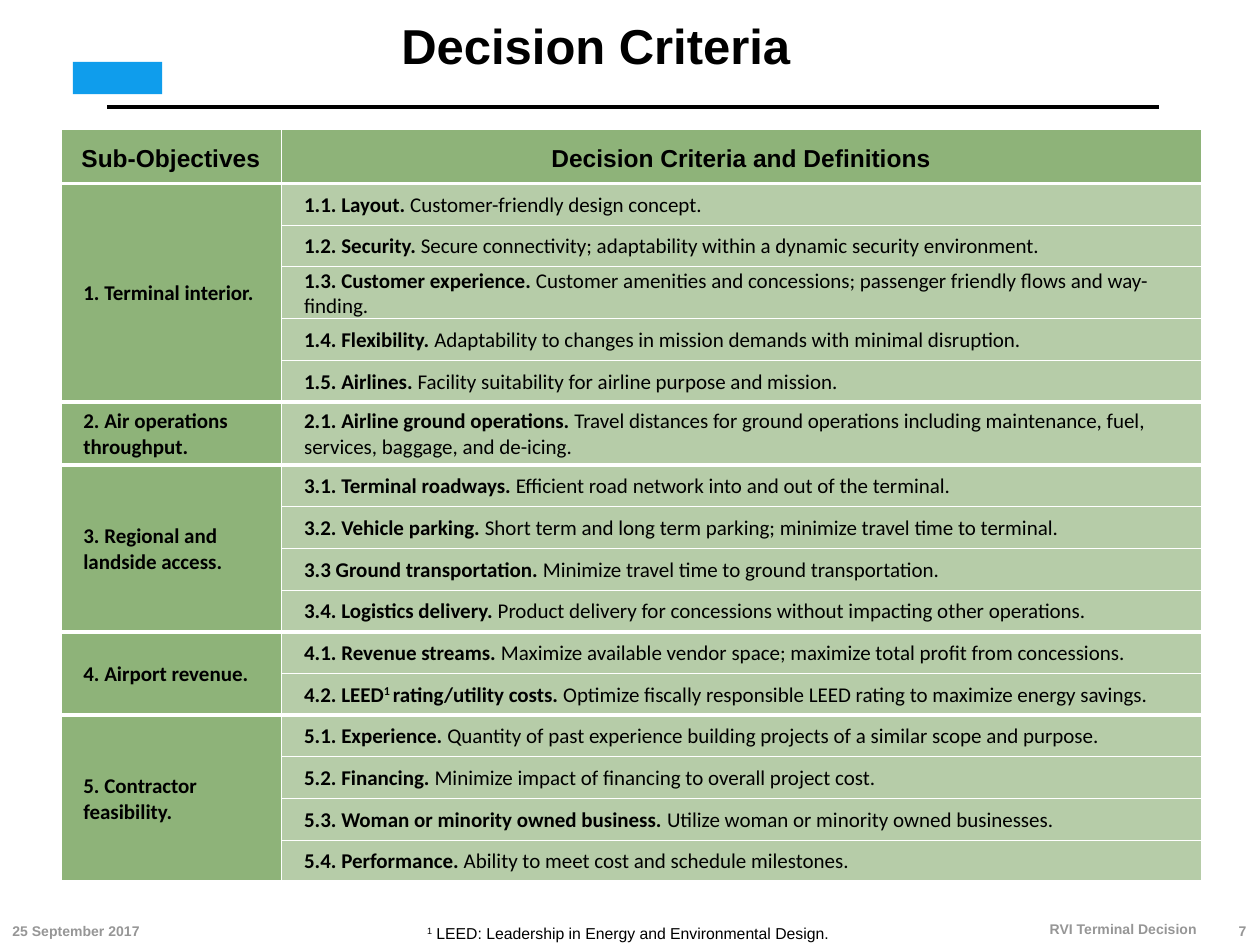
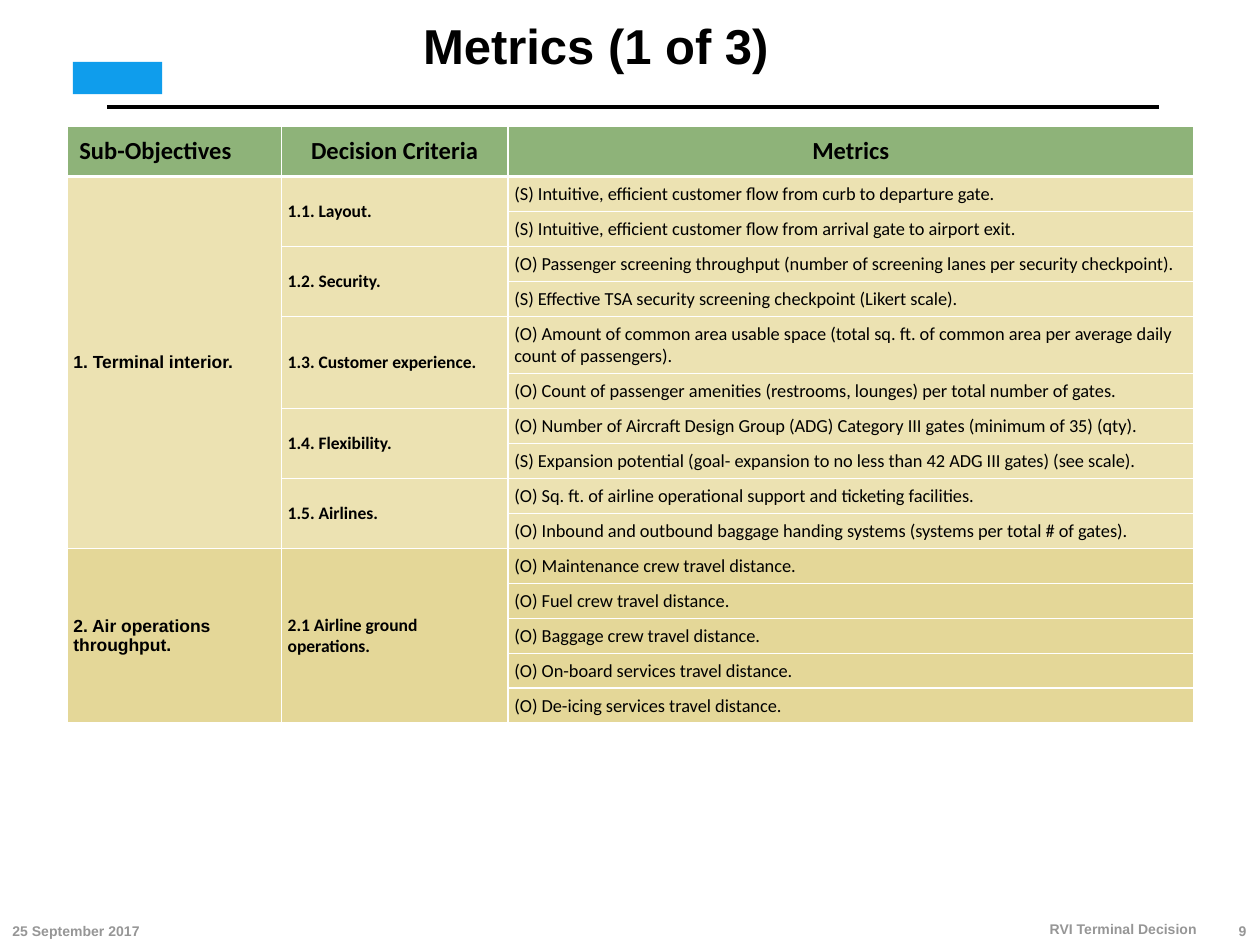
from dataclasses import dataclass
from typing import NamedTuple

from lxml.etree import SubElement
from pptx import Presentation
from pptx.dml.color import RGBColor
from pptx.enum.shapes import MSO_CONNECTOR as Link, MSO_SHAPE as Shape
from pptx.enum.text import MSO_ANCHOR as Anchor, PP_ALIGN as Align
from pptx.oxml.ns import qn
from pptx.util import Cm, Pt

BLACK = RGBColor(0x00, 0x00, 0x00)
WHITE = RGBColor(0xFF, 0xFF, 0xFF)
GREY = RGBColor(0x96, 0x96, 0x96)
BLUE = RGBColor(0x0F, 0x9D, 0xEC)
GREEN = RGBColor(0x8E, 0xB3, 0x79)
PALE = RGBColor(0xB6, 0xCC, 0xA8)
CREAM = RGBColor(0xEC, 0xE2, 0xB2)
SAND = RGBColor(0xE4, 0xD7, 0x98)
SANS = "Arial"
BODY = "Calibri"
HEAVY = 2.25


class Run(NamedTuple):
    text: str
    bold: bool = False
    high: bool = False


class Box(NamedTuple):
    left: float
    top: float
    width: float
    height: float


class Font(NamedTuple):
    name: str
    size: float
    color: RGBColor = BLACK


class Edge(NamedTuple):
    left: float
    top: float
    right: float
    bottom: float


class Group(NamedTuple):
    name: str
    items: list
    fill: RGBColor = GREEN


@dataclass(frozen=True)
class Look:
    font: Font
    pad: Edge
    align: Align = Align.LEFT
    indent: float = 0


TITLE = Font(SANS, 28)
FOOT = Font(SANS, 8, GREY)
NOTE = Font(SANS, 9)
PLAIN = Edge(0.25, 0.13, 0.25, 0.13)
EVEN = Edge(0.13, 0.13, 0.13, 0.13)
FLAT = Edge(0.13, 0.13, 0.13, 0)
TIGHT = Edge(0.13, 0.03, 0.03, 0)
BARE = Edge(0, 0, 0, 0)

HEAD = Look(Font(SANS, 14), FLAT, Align.CENTER)
ENTRY = Look(Font(BODY, 12), TIGHT, indent=0.33)
LEAD = Look(Font(BODY, 14), PLAIN)
TOP = Look(Font(BODY, 14), PLAIN, Align.CENTER)
GOAL = Look(Font(SANS, 10), EVEN)
TEST = Look(Font(BODY, 10), EVEN)
GAUGE = Look(Font(BODY, 10.5), EVEN)


def rule(head: str, text: str) -> list[Run]:
    return [Run(head + " ", True), Run(text)]


CRITERIA = [
    Group("1. Terminal interior.", [
        rule("1.1. Layout.", "Customer-friendly design concept."),
        rule("1.2. Security.", "Secure connectivity; adaptability within a dynamic security environment."),
        rule("1.3. Customer experience.",
             "Customer amenities and concessions; passenger friendly flows and way-finding."),
        rule("1.4. Flexibility.", "Adaptability to changes in mission demands with minimal disruption."),
        rule("1.5. Airlines.", "Facility suitability for airline purpose and mission."),
    ]),
    Group("2. Air operations throughput.", [
        rule("2.1. Airline ground operations.",
             "Travel distances for ground operations including maintenance, fuel, "
             "services, baggage, and de-icing."),
    ]),
    Group("3. Regional and landside access.", [
        rule("3.1. Terminal roadways.", "Efficient road network into and out of the terminal."),
        rule("3.2. Vehicle parking.", "Short term and long term parking; minimize travel time to terminal."),
        rule("3.3 Ground transportation.", "Minimize travel time to ground transportation."),
        rule("3.4. Logistics delivery.", "Product delivery for concessions without impacting other operations."),
    ]),
    Group("4. Airport revenue.", [
        rule("4.1. Revenue streams.", "Maximize available vendor space; maximize total profit from concessions."),
        [Run("4.2. LEED", True), Run("1 ", True, True)]
        + rule("rating/utility costs.", "Optimize fiscally responsible LEED rating to maximize energy savings."),
    ]),
    Group("5. Contractor feasibility.", [
        rule("5.1. Experience.", "Quantity of past experience building projects of a similar scope and purpose."),
        rule("5.2. Financing.", "Minimize impact of financing to overall project cost."),
        rule("5.3. Woman or minority owned business.", "Utilize woman or minority owned businesses."),
        rule("5.4. Performance.", "Ability to meet cost and schedule milestones."),
    ]),
]

METRICS = [
    Group("1. Terminal interior.", [
        ("1.1. Layout.", [
            "(S) Intuitive, efficient customer flow from curb to departure gate.",
            "(S) Intuitive, efficient customer flow from arrival gate to airport exit."]),
        ("1.2. Security.", [
            "(O) Passenger screening throughput (number of screening lanes per security checkpoint).",
            "(S) Effective TSA security screening checkpoint (Likert scale)."]),
        ("1.3. Customer experience.", [
            "(O) Amount of common area usable space (total sq. ft. of common area "
            "per average daily count of passengers).",
            "(O) Count of passenger amenities (restrooms, lounges) per total number of gates."]),
        ("1.4. Flexibility.", [
            "(O) Number of Aircraft Design Group (ADG) Category III gates (minimum of 35) (qty).",
            "(S) Expansion potential (goal- expansion to no less than 42 ADG III gates) (see scale)."]),
        ("1.5. Airlines.", [
            "(O) Sq. ft. of airline operational support and ticketing facilities.",
            "(O) Inbound and outbound baggage handing systems (systems per total # of gates)."]),
    ], CREAM),
    Group("2. Air operations throughput.", [
        ("2.1 Airline ground operations.", [
            f"(O) {crew} travel distance." for crew in (
                "Maintenance crew", "Fuel crew", "Baggage crew", "On-board services", "De-icing services")]),
    ], SAND),
]


def write(para, runs: list[Run], font: Font) -> None:
    for part in runs:
        run = para.add_run()
        run.text = part.text
        run.font.name = font.name
        run.font.size = Pt(font.size)
        run.font.bold = part.bold
        run.font.color.rgb = font.color
        if part.high:
            run.font._element.set("baseline", "30000")


def label(slide, box: Box, runs: list[Run], font: Font, align: Align = Align.LEFT,
          anchor: Anchor = Anchor.BOTTOM, pad: Edge = PLAIN, wrap: bool = False):
    frame = slide.shapes.add_textbox(*map(Cm, box)).text_frame
    frame.word_wrap = wrap
    frame.vertical_anchor = anchor
    frame.margin_left, frame.margin_top, frame.margin_right, frame.margin_bottom = map(Cm, pad)
    para = frame.paragraphs[0]
    para.alignment = align
    write(para, runs, font)
    return para


def base(deck, title: str, page: int):
    slide = deck.slides.add_slide(deck.slide_layouts[6])
    line = slide.shapes.add_connector(Link.STRAIGHT, Cm(2.16), Cm(2.16), Cm(23.37), Cm(2.16))
    line.line.color.rgb = BLACK
    line.line.width = Pt(2.5)
    SubElement(line._element.spPr, qn("a:effectLst"))
    mark = slide.shapes.add_shape(Shape.RECTANGLE, Cm(1.47), Cm(1.25), Cm(1.8), Cm(0.65))
    mark.shadow.inherit = False
    mark.fill.solid()
    mark.fill.fore_color.rgb = BLUE
    mark.line.fill.background()
    head = label(slide, Box(1.85, 0, 20.32, 1.98), [Run(title, True)], TITLE,
                 Align.CENTER, Anchor.MIDDLE, BARE, True)
    head.line_spacing = 0.9
    label(slide, Box(0, 18.42, 5.08, 0.64), [Run("25 September 2017", True)], FOOT)
    label(slide, Box(24.36, 18.42, 1.02, 0.64), [Run(str(page), True)], FOOT, Align.RIGHT)
    label(slide, Box(16.76, 18.39, 7.62, 0.64), [Run("RVI Terminal Decision", True)], FOOT, Align.RIGHT)
    return slide


def border(cell, edge: Edge) -> None:
    props = cell._tc.get_or_add_tcPr()
    for side, width in zip("LRTB", (edge.left, edge.right, edge.top, edge.bottom)):
        line = SubElement(props, qn(f"a:ln{side}"), w=str(Pt(width)))
        fill = SubElement(line, qn("a:solidFill"))
        SubElement(fill, qn("a:srgbClr"), val=str(WHITE))


def put(table, row: int, col: int, runs: list[Run], look: Look,
        fill: RGBColor, edge: Edge, span: int = 1) -> None:
    cell = table.cell(row, col)
    if span > 1:
        cell.merge(table.cell(row + span - 1, col))
    for step in range(span):
        part = table.cell(row + step, col)
        border(part, edge)
        part.fill.solid()
        part.fill.fore_color.rgb = fill
    cell.vertical_anchor = Anchor.MIDDLE
    cell.margin_left, cell.margin_top, cell.margin_right, cell.margin_bottom = map(Cm, look.pad)
    para = cell.text_frame.paragraphs[0]
    para.alignment = look.align
    if look.indent:
        props = para._p.get_or_add_pPr()
        props.set("marL", str(Cm(look.indent)))
        props.set("indent", "0")
    write(para, runs, look.font)


def grid(slide, box: Box, cols: list[float], rows: list[float]):
    shape = slide.shapes.add_table(len(rows), len(cols), *map(Cm, box))
    table = shape.table
    table.first_row = table.horz_banding = False
    for col, width in zip(table.columns, cols):
        col.width = Cm(width)
    for row, height in zip(table.rows, rows):
        row.height = Cm(height)
    shape.height = Cm(box.height)
    return table


def criteria(deck) -> None:
    slide = base(deck, "Decision Criteria", 7)
    rows = [1.11] + [0.84] * 5 + [1.27] + [0.84] * 10
    table = grid(slide, Box(1.22, 2.59, 22.99, 15.16), [4.45, 18.54], rows)
    first = Edge(HEAVY, HEAVY, 0.5, HEAVY)
    put(table, 0, 0, [Run("Sub-Objectives", True)], HEAD, GREEN, first)
    put(table, 0, 1, [Run("Decision Criteria and Definitions", True)], HEAD, GREEN,
        Edge(0.5, HEAVY, 0.5, HEAVY))
    row = 1
    for group in CRITERIA:
        count = len(group.items)
        put(table, row, 0, [Run(group.name, True)], ENTRY, group.fill, first, count)
        for step, runs in enumerate(group.items):
            edge = Edge(0.5, HEAVY if step == 0 else 0.5, 0.5, HEAVY if step == count - 1 else 0.5)
            put(table, row + step, 1, runs, ENTRY, PALE, edge)
        row += count
    label(slide, Box(8.36, 18.49, 8.71, 0.64),
          [Run("1", high=True), Run(" LEED: Leadership in Energy and Environmental Design.")],
          NOTE, anchor=Anchor.TOP)


def metrics(deck) -> None:
    slide = base(deck, "Metrics (1 of 3)", 9)
    table = grid(slide, Box(1.35, 2.54, 22.71, 11.94), [4.32, 4.57, 13.82], [1.02] + [0.51] * 15)
    heads = [("Sub-Objectives", LEAD), ("Decision Criteria", TOP), ("Metrics", TOP)]
    for col, (text, look) in enumerate(heads):
        put(table, 0, col, [Run(text, True)], look, GREEN, Edge(1, 1, 1, HEAVY))
    row = 1
    for group in METRICS:
        total = sum(len(lines) for _, lines in group.items)
        edge = Edge(1, HEAVY if row == 1 else 1, 1, 1)
        put(table, row, 0, [Run(group.name, True)], GOAL, group.fill, edge, total)
        for name, lines in group.items:
            edge = Edge(1, HEAVY if row == 1 else 1, 1, 1)
            put(table, row, 1, [Run(name, True)], TEST, group.fill, edge, len(lines))
            for text in lines:
                edge = Edge(1, HEAVY if row == 1 else 1, 1, 1)
                put(table, row, 2, [Run(text)], GAUGE, group.fill, edge)
                row += 1


def main() -> None:
    deck = Presentation()
    deck.slide_width, deck.slide_height = Cm(25.4), Cm(19.05)
    criteria(deck)
    metrics(deck)
    deck.save("out.pptx")


if __name__ == "__main__":
    main()
